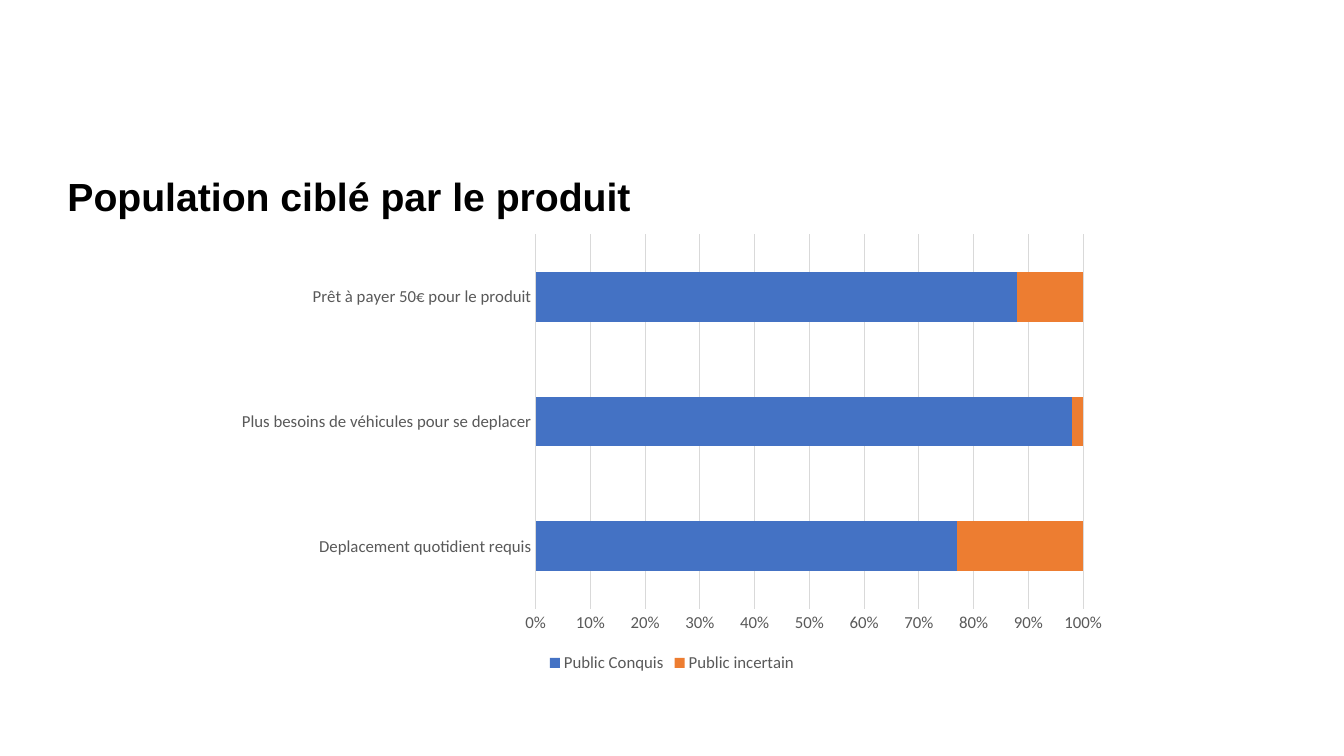
import pptx
import pptx.chart.data
import pptx.dml.color
import pptx.enum.chart
import pptx.enum.text
import pptx.util

Pt = pptx.util.Pt

# Content
TITLE = "Population ciblé par le produit"
CATEGORIES = [
    "Deplacement quotidient requis",
    "Plus besoins de véhicules pour se deplacer",
    "Prêt à payer 50€ pour le produit",
]
SERIES = [
    ("Public Conquis", (77, 98, 88), "4472C4"),
    ("Public incertain", (23, 2, 12), "ED7D31"),
]
TITLE_BOX = (41, 119.5, 447, 41)
CHART_BOX = (160, 161, 640, 322.5)
TEXT_GREY, LINE_GREY = "595959", "D9D9D9"


def color(value):
    return pptx.dml.color.RGBColor.from_string(value)


def style_font(font, name, size, value, bold=False):
    font.name, font.size, font.bold = name, Pt(size), bold
    font.color.rgb = color(value)


def style_line(line):
    line.color.rgb = color(LINE_GREY)
    line.width = Pt(0.75)


presentation = pptx.Presentation()
presentation.slide_width, presentation.slide_height = Pt(960), Pt(540)
slide = presentation.slides.add_slide(presentation.slide_layouts[5])

# Title
title = slide.shapes.title
title.left, title.top, title.width, title.height = map(Pt, TITLE_BOX)
frame = title.text_frame
frame.text = TITLE
frame.word_wrap = True
frame.auto_size = pptx.enum.text.MSO_AUTO_SIZE.NONE
frame.vertical_anchor = pptx.enum.text.MSO_ANCHOR.TOP
paragraph = frame.paragraphs[0]
paragraph.alignment = pptx.enum.text.PP_ALIGN.LEFT
style_font(paragraph.font, "Arial", 28, "000000", bold=True)

# Stacked bar chart
chart_data = pptx.chart.data.CategoryChartData(number_format="0")
chart_data.categories = CATEGORIES
for name, values, _ in SERIES:
    chart_data.add_series(name, values)
chart = slide.shapes.add_chart(
    pptx.enum.chart.XL_CHART_TYPE.BAR_STACKED_100, *map(Pt, CHART_BOX), chart_data
).chart
chart.has_title = False
style_font(chart.font, "Calibri", 12, TEXT_GREY)

plot = chart.plots[0]
plot.gap_width, plot.overlap = 150, 100
plot.vary_by_categories = False
for series, (_, _, fill) in zip(plot.series, SERIES):
    series.format.fill.solid()
    series.format.fill.fore_color.rgb = color(fill)

# Axes
for axis in (chart.category_axis, chart.value_axis):
    axis.major_tick_mark = axis.minor_tick_mark = pptx.enum.chart.XL_TICK_MARK.NONE
    style_font(axis.tick_labels.font, "Calibri", 12, TEXT_GREY)
chart.category_axis.has_major_gridlines = False
style_line(chart.category_axis.format.line)
value_axis = chart.value_axis
value_axis.format.line.fill.background()
value_axis.has_major_gridlines = True
style_line(value_axis.major_gridlines.format.line)
value_axis.tick_labels.number_format = "0%"
value_axis.tick_labels.number_format_is_linked = False

# Legend
chart.has_legend = True
chart.legend.position = pptx.enum.chart.XL_LEGEND_POSITION.BOTTOM
chart.legend.include_in_layout = False
style_font(chart.legend.font, "Calibri", 12, TEXT_GREY)

presentation.save("out.pptx")
